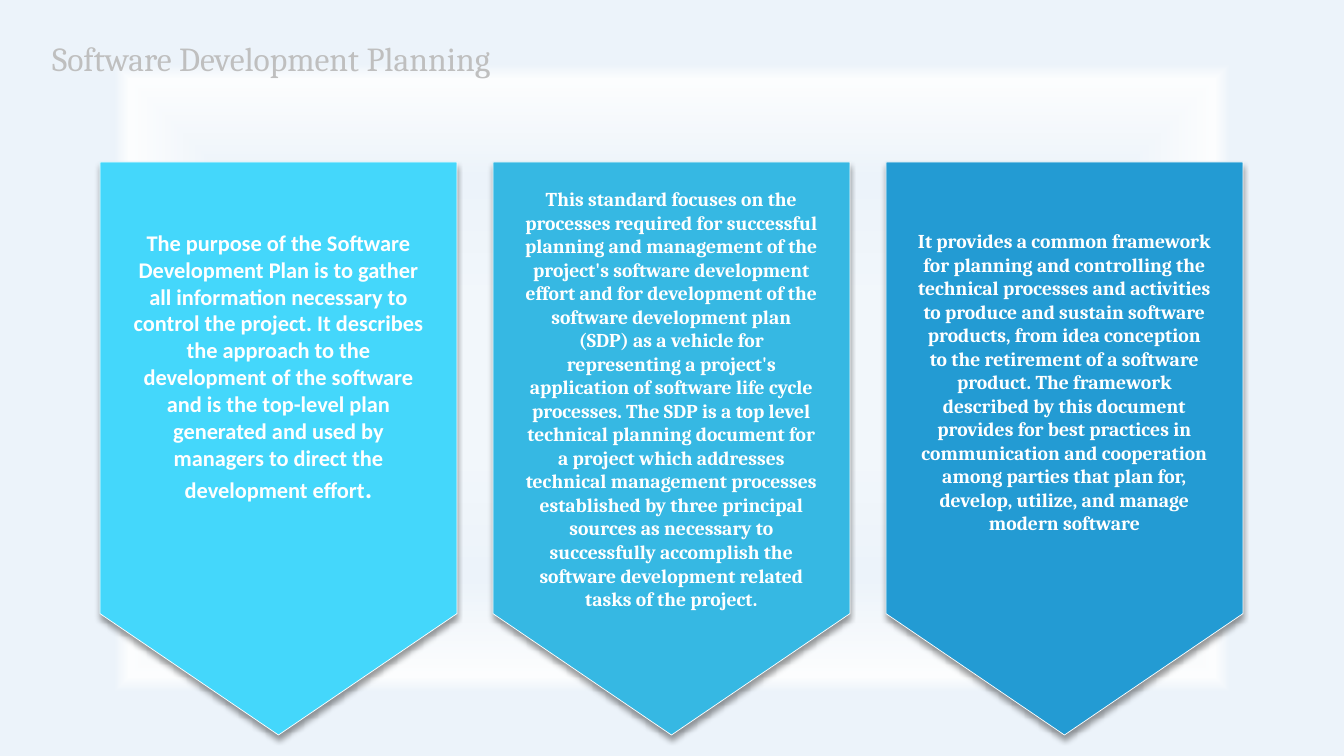
from lxml import etree
from pptx import Presentation
from pptx import util as u
from pptx.dml.color import RGBColor
from pptx.enum import shapes, text
from pptx.oxml import parse_xml
from pptx.oxml.ns import qn

WHITE = RGBColor(0xFF, 0xFF, 0xFF)
BLACK = RGBColor(0, 0, 0)
CYAN = RGBColor(0x44, 0xD7, 0xFB)
SKY = RGBColor(0x36, 0xB8, 0xE3)
BLUE = RGBColor(0x23, 0x9B, 0xD3)

HEADING = "Software Development Planning"
PURPOSE = (
    "The purpose of the Software Development Plan is to gather all information "
    "necessary to control the project. It describes the approach to "
    "the development of the software and is the top-level plan generated and used "
    "by managers to direct the development effort"
)
STANDARD = (
    "This standard focuses on the processes required for successful planning and "
    "management of the project's software development effort and for development of "
    "the software development plan (SDP) as a vehicle for representing a project's "
    "application of software life cycle processes. The SDP is a top level technical "
    "planning document for a project which addresses technical management processes "
    "established by three principal sources as necessary to successfully accomplish "
    "the software development related tasks of the project."
)
FRAMEWORK = (
    "It provides a common framework for planning and controlling the technical "
    "processes and activities to produce and sustain software products, from idea "
    "conception to the retirement of a software product. The framework described by "
    "this document provides for best practices in communication and cooperation among "
    "parties that plan for, develop, utilize, and manage modern software"
)
BANNERS = [
    dict(fill=CYAN, top=224, height=323, font="Calibri", runs=[(PURPOSE, 16), (".", 20)]),
    dict(fill=SKY, top=182, height=462, font="Cambria", runs=[(STANDARD, 14)]),
    dict(fill=BLUE, top=224, height=343, font="Cambria", runs=[(FRAMEWORK, 14)]),
]
BACKDROP_STOPS = [(19, "CEE1F2"), (53, "B5D2EC"), (79, "F7FAFD"), (83, "B5D2EC")]

SLIDE_W, SLIDE_H = 1344, 756
BANNER_LEFT, BANNER_TOP, BANNER_W, BANNER_H = 100, 162, 357, 573
BANNER_STEP, TEXT_INSET = 393, 22
A_NS = 'xmlns:a="http://schemas.openxmlformats.org/drawingml/2006/main"'


def px(*lengths):
    return [u.Emu(round(n * 914400 / 100.8)) for n in lengths]


def write(frame, runs, font, color, bold=False, align=text.PP_ALIGN.LEFT):
    frame.word_wrap = True
    frame.auto_size = text.MSO_AUTO_SIZE.NONE
    frame.vertical_anchor = text.MSO_ANCHOR.TOP
    paragraph = frame.paragraphs[0]
    paragraph.alignment = align
    paragraph.line_spacing = 1.0
    paragraph.space_before = u.Pt(0)
    for words, size in runs:
        run = paragraph.add_run()
        run.text = words
        run.font.name = font
        run.font.size = u.Pt(size)
        run.font.bold = bold
        run.font.color.rgb = color


def paint_backdrop(slide):
    slide.background.fill.solid()
    solid = slide.background._cSld.find(".//" + qn("a:solidFill"))
    stops = "".join(
        f'<a:gs pos="{pos * 1000}"><a:srgbClr val="{color}"/></a:gs>'
        for pos, color in BACKDROP_STOPS
    )
    gradient = parse_xml(
        f'<a:gradFill {A_NS} rotWithShape="1"><a:gsLst>{stops}</a:gsLst>'
        '<a:path path="shape"><a:fillToRect l="50000" t="50000" r="50000" b="50000"/>'
        "</a:path></a:gradFill>"
    )
    solid.getparent().replace(solid, gradient)
    veil = slide.shapes.add_shape(
        shapes.MSO_SHAPE.RECTANGLE, *px(0, 0, SLIDE_W, SLIDE_H)
    )
    veil.shadow.inherit = False
    veil.fill.solid()
    veil.fill.fore_color.rgb = WHITE
    veil.line.fill.background()
    tint = veil._element.spPr.find(".//" + qn("a:srgbClr"))
    etree.SubElement(tint, qn("a:alpha"), val="75000")


def add_banner(slide, left, fill, top, height, font, runs):
    arrow = slide.shapes.add_shape(
        shapes.MSO_SHAPE.DOWN_ARROW, *px(left, BANNER_TOP, BANNER_W, BANNER_H)
    )
    arrow.adjustments[0] = 1
    arrow.adjustments[1] = 0.34
    arrow.fill.solid()
    arrow.fill.fore_color.rgb = fill
    arrow.line.color.rgb = WHITE
    arrow.line.width = u.Pt(0.5)
    arrow.shadow.inherit = False
    arrow._element.spPr.find(qn("a:effectLst")).append(parse_xml(
        f'<a:outerShdw {A_NS} blurRad="{u.Pt(4)}" dist="{u.Pt(3)}" dir="5400000" '
        'algn="ctr" rotWithShape="0"><a:srgbClr val="000000">'
        '<a:alpha val="40000"/></a:srgbClr></a:outerShdw>'
    ))
    message = slide.shapes.add_textbox(
        *px(left + TEXT_INSET, top, BANNER_W - 2 * TEXT_INSET, height)
    )
    write(message.text_frame, runs, font, WHITE, bold=True, align=text.PP_ALIGN.CENTER)


def main():
    deck = Presentation()
    deck.slide_width, deck.slide_height = px(SLIDE_W, SLIDE_H)
    slide = deck.slides.add_slide(deck.slide_layouts[5])
    paint_backdrop(slide)
    for index, banner in enumerate(BANNERS):
        add_banner(slide, BANNER_LEFT + index * BANNER_STEP, **banner)
    heading = slide.shapes.title
    heading.left, heading.top, heading.width, heading.height = px(42, 33, 728, 50)
    write(heading.text_frame, [(HEADING, 24)], "Cambria", BLACK)
    deck.save("out.pptx")


if __name__ == "__main__":
    main()
